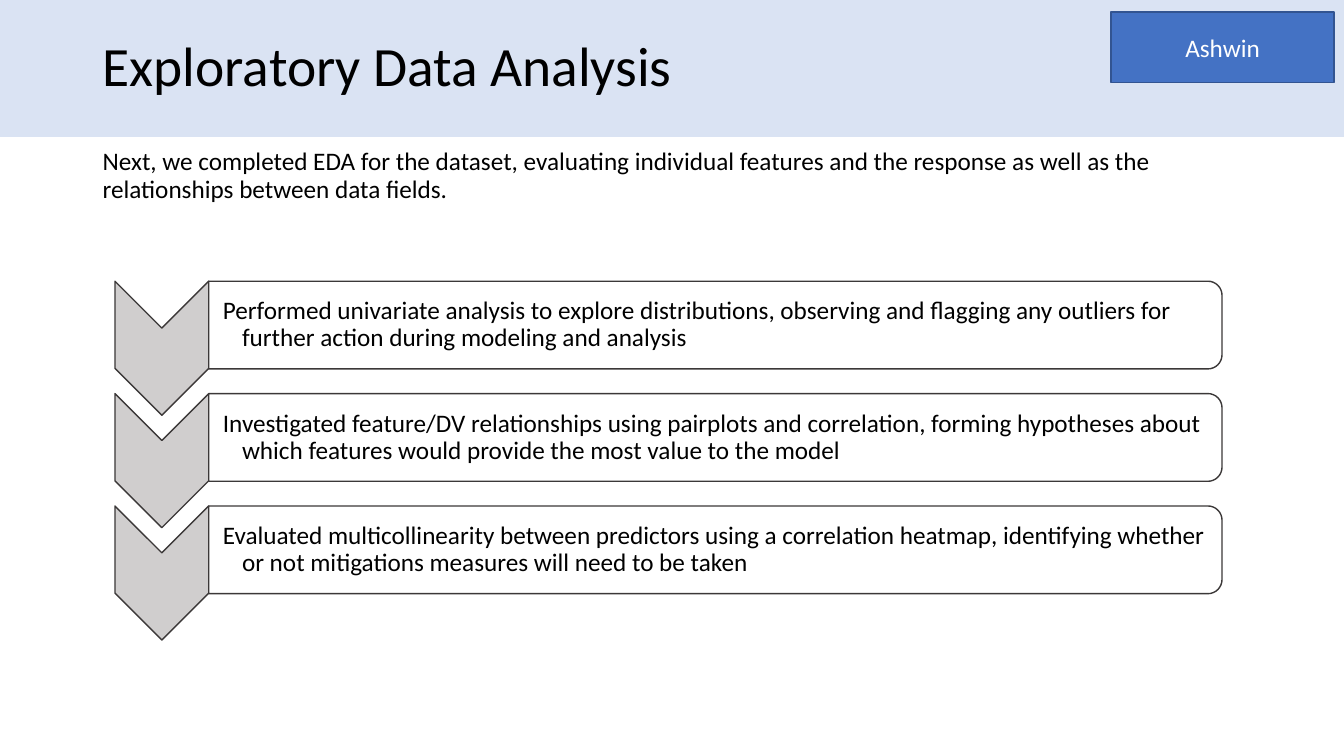
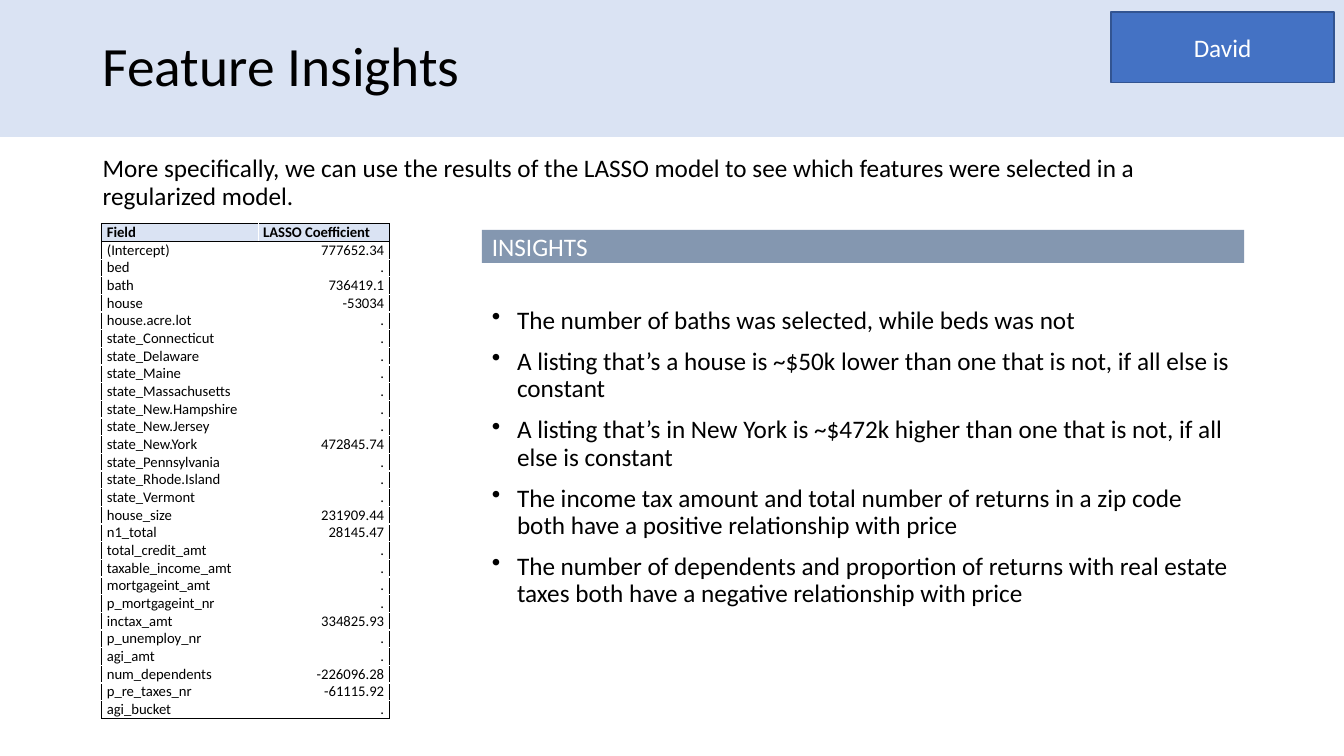
"""Builds two slides on data analysis: a list of steps, and a table with insights."""
import math

import pptx
import pptx.dml.color
import pptx.enum.shapes
import pptx.enum.text
import pptx.oxml.ns
import pptx.util
from lxml import etree

PX = 9144
FONT = "Calibri"
HEX = {
    "band": "DAE3F3", "badge": "4472C4", "edge": "325491", "arrow": "D0CECE",
    "rim": "3B3838", "bar": "8497B0", "black": "000000", "white": "FFFFFF",
}
SHAPE = pptx.enum.shapes.MSO_SHAPE
ALIGN = pptx.enum.text.PP_ALIGN
ANCHOR = pptx.enum.text.MSO_ANCHOR

STEPS = [
    "Performed univariate analysis to explore distributions, observing and flagging any outliers for further action during modeling and analysis",
    "Investigated feature/DV relationships using pairplots and correlation, forming hypotheses about which features would provide the most value to the model",
    "Evaluated multicollinearity between predictors using a correlation heatmap, identifying whether or not mitigations measures will need to be taken",
]
ROWS = [
    ("Field", "LASSO Coefficient"),
    ("(Intercept)", "777652.34"),
    ("bed", "."),
    ("bath", "736419.1"),
    ("house", "-53034"),
    ("house.acre.lot", "."),
    ("state_Connecticut", "."),
    ("state_Delaware", "."),
    ("state_Maine", "."),
    ("state_Massachusetts", "."),
    ("state_New.Hampshire", "."),
    ("state_New.Jersey", "."),
    ("state_New.York", "472845.74"),
    ("state_Pennsylvania", "."),
    ("state_Rhode.Island", "."),
    ("state_Vermont", "."),
    ("house_size", "231909.44"),
    ("n1_total", "28145.47"),
    ("total_credit_amt", "."),
    ("taxable_income_amt", "."),
    ("mortgageint_amt", "."),
    ("p_mortgageint_nr", "."),
    ("inctax_amt", "334825.93"),
    ("p_unemploy_nr", "."),
    ("agi_amt", "."),
    ("num_dependents", "-226096.28"),
    ("p_re_taxes_nr", "-61115.92"),
    ("agi_bucket", "."),
]
NOTES = [
    "The number of baths was selected, while beds was not",
    "A listing that’s a house is ~$50k lower than one that is not, if all else is constant",
    "A listing that’s in New York is ~$472k higher than one that is not, if all else is constant",
    "The income tax amount and total number of returns in a zip code both have a positive relationship with price",
    "The number of dependents and proportion of returns with real estate taxes both have a negative relationship with price",
]


def emu(*nums):
    """Turn px into EMU."""
    return [pptx.util.Emu(round(n * PX)) for n in nums]


def rgb(name):
    """Look up a colour by name."""
    return pptx.dml.color.RGBColor.from_string(HEX[name])


def paint(shape, fill, line=None):
    """Give a shape its fill and outline, without a shadow."""
    shape.shadow.inherit = False
    shape.fill.solid()
    shape.fill.fore_color.rgb = rgb(fill)
    if line:
        shape.line.color.rgb = rgb(line)
        shape.line.width = pptx.util.Pt(1)
    else:
        shape.line.fill.background()
    return shape


def block(slide, box, fill, line=None, kind=SHAPE.RECTANGLE):
    """Draw a preset shape in a box."""
    return paint(slide.shapes.add_shape(kind, *emu(*box)), fill, line)


def write(frame, lines, size=18, color="black", align=ALIGN.LEFT,
          anchor=ANCHOR.MIDDLE, space=None, before=0, hang=0, mark=None, bold=False):
    """Fill a text frame with paragraphs of one style."""
    frame.word_wrap = True
    frame.vertical_anchor = anchor
    for num, line in enumerate(lines):
        para = frame.add_paragraph() if num else frame.paragraphs[0]
        para.text = line
        para.alignment = align
        para.line_spacing = space
        para.space_before = pptx.util.Pt(before)
        props = para._p.get_or_add_pPr()
        if hang:
            props.set("marL", str(hang * PX))
            props.set("indent", str(-hang * PX))
        if mark:
            etree.SubElement(props, pptx.oxml.ns.qn("a:buChar")).set("char", mark)
        font = para.font
        font.name, font.size, font.bold = FONT, pptx.util.Pt(size), bold
        font.color.rgb = rgb(color)


def label(slide, box, lines, **style):
    """Place a text box."""
    write(slide.shapes.add_textbox(*emu(*box)).text_frame, lines, space=0.9, **style)


def base(deck, title, name, intro, top):
    """Add a slide with band, title, name badge and opening text."""
    slide = deck.slides.add_slide(deck.slide_layouts[6])
    block(slide, (0, 0, 1333, 136), "band")
    label(slide, (92, 32, 1150, 72), [title], size=39.6)
    badge = block(slide, (1102, 12, 221, 70), "badge", "edge")
    write(badge.text_frame, [name], color="white", align=ALIGN.CENTER)
    label(slide, (92, top, 1150, 72), [intro], anchor=ANCHOR.TOP, before=10)
    return slide


def panel(slide, box, curve):
    """Draw a panel with its two right corners rounded."""
    left, top, wide, high = box
    arc = [(curve * math.sin(t), curve * math.cos(t))
           for t in (math.pi * k / 16 for k in range(9))]
    right = left + wide - curve
    upper = [(right + x, top + curve - y) for x, y in arc]
    lower = [(right + x, top + high - curve + y) for x, y in reversed(arc)]
    build = slide.shapes.build_freeform(*emu(left, top), scale=1.0)
    spots = upper + lower + [(left, top + high)]
    build.add_line_segments([emu(*spot) for spot in spots], close=True)
    return paint(build.convert_to_shape(), "white", "rim")


def steps(slide, box, lines):
    """Stack chevrons, each with a text panel to its right."""
    left, top, wide, high = box
    span, tall, body = 93, 133, 87
    pitch = (high - tall) / (len(lines) - 1)
    for num, line in enumerate(lines):
        y = top + num * pitch
        turn = (left + (span - tall) / 2, y + (tall - span) / 2, tall, span)
        block(slide, turn, "arrow", "rim", SHAPE.CHEVRON).rotation = 90
        frame = panel(slide, (left + span, y, wide - span, body), 14).text_frame
        frame.margin_left, frame.margin_right = emu(14, 5)
        frame.margin_top, frame.margin_bottom = emu(5, 5)
        write(frame, [line], space=0.9, hang=19)


def border(cell, sides):
    """Set the four borders of a cell from colour names."""
    props = cell._tc.get_or_add_tcPr()
    for side, name in zip("LRTB", sides):
        line = etree.SubElement(props, pptx.oxml.ns.qn("a:ln" + side), w="12700")
        fill = etree.SubElement(line, pptx.oxml.ns.qn("a:solidFill"))
        etree.SubElement(fill, pptx.oxml.ns.qn("a:srgbClr")).set("val", HEX[name])


def grid(slide, box, rows, wides):
    """Draw the table of coefficients."""
    table = slide.shapes.add_table(len(rows), len(wides), *emu(*box)).table
    table.first_row = table.horz_banding = False
    for col, wide in zip(table.columns, emu(*wides)):
        col.width = wide
    for r, row in enumerate(rows):
        for c, text in enumerate(row):
            cell = table.cell(r, c)
            dark = (c == 0, c == len(wides) - 1, r < 2, r in (0, len(rows) - 1))
            border(cell, ["black" if d else "white" for d in dark])
            cell.margin_left, cell.margin_right = emu(5, 5)
            cell.margin_top = cell.margin_bottom = 0
            if r:
                cell.fill.background()
            else:
                cell.fill.solid()
                cell.fill.fore_color.rgb = rgb("band")
            write(cell.text_frame, [text], size=10.5, bold=r == 0,
                  align=ALIGN.RIGHT if r and c else ALIGN.LEFT)
            cell.vertical_anchor = ANCHOR.BOTTOM


def notes(slide, box, head, lines):
    """Place a heading bar over a bulleted list."""
    left, top, wide, high = box
    bar = block(slide, (left, top, wide, 33), "bar")
    write(bar.text_frame, [head], color="white")
    label(slide, (left, top + 72, wide, high - 72), lines,
          anchor=ANCHOR.TOP, before=10, hang=25, mark="•")


def main():
    """Build and save the deck."""
    deck = pptx.Presentation()
    deck.slide_width, deck.slide_height = emu(1333, 750)
    slide = base(deck, "Exploratory Data Analysis", "Ashwin",
                 "Next, we completed EDA for the dataset, evaluating individual features and the response as well as the relationships between data fields.", 143)
    steps(slide, (114, 279, 1098, 356), STEPS)
    slide = base(deck, "Feature Insights", "David",
                 "More specifically, we can use the results of the LASSO model to see which features were selected in a regularized model.", 150)
    grid(slide, (101, 222, 285, 490), ROWS, (155, 130))
    notes(slide, (478, 228, 756, 429), "INSIGHTS", NOTES)
    deck.save("out.pptx")


if __name__ == "__main__":
    main()
